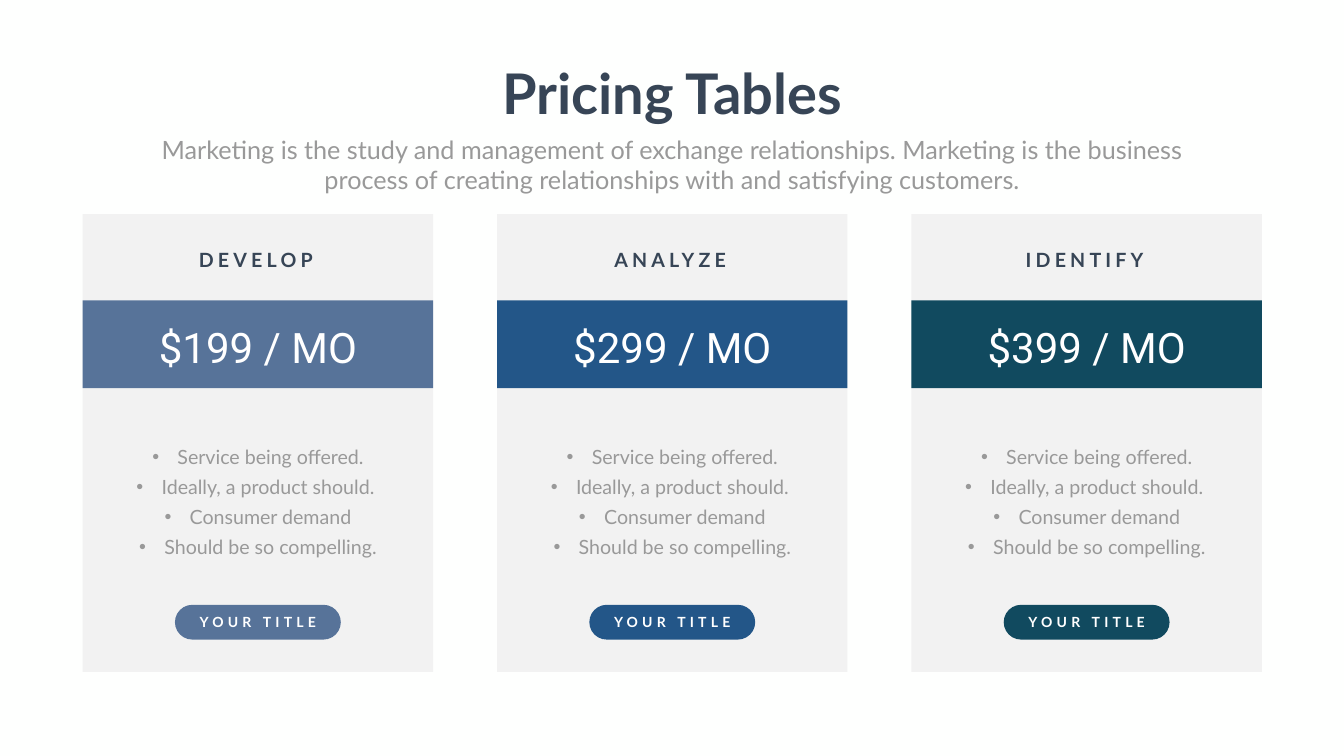
import lxml.etree
import pptx
import pptx.dml.color
import pptx.enum.shapes
import pptx.enum.text
import pptx.oxml.ns
import pptx.util

Inches = pptx.util.Inches
Shapes = pptx.enum.shapes.MSO_SHAPE

TITLE = "Pricing Tables"
SUBTITLE = (
    "Marketing is the study and management of exchange relationships. "
    "Marketing is the business process of creating relationships with and satisfying customers."
)
PLANS = [
    ("DEVELOP", "$199 / MO", "577399"),
    ("ANALYZE", "$299 / MO", "235688"),
    ("IDENTIFY", "$399 / MO", "114A5F"),
]
FEATURES = [
    "Service being offered.",
    "Ideally, a product should. ",
    "Consumer demand",
    "Should be so compelling.",
]
BUTTON = "YOUR TITLE"

THEME = {
    "background": "FEFFFE", "card": "F2F2F2", "dark": "374556", "muted": "999999", "light": "FFFFFF",
    "body_font": "Lato", "price_font": "Roboto",
    "title": 80, "price": 60, "subtitle": 36, "body": 28, "button": 20,
    "tracking": 6, "feature_line": 43,
}

SLIDE_WIDTH, SLIDE_HEIGHT = 26.66, 15
CARD_LEFT, CARD_TOP, CARD_WIDTH, CARD_HEIGHT = 1.64, 4.25, 6.95, 9.08
CARD_PITCH = 8.22
BULLET_INDENT = 0.5


def color(value):
    return pptx.dml.color.RGBColor.from_string(value)


def place(shape, center, top, width, height):
    shape.left, shape.top = Inches(center - width / 2), Inches(top)
    shape.width, shape.height = Inches(width), Inches(height)


def add_block(shapes, kind, center, top, width, height, fill):
    shape = shapes.add_shape(kind, 0, 0, 0, 0)
    place(shape, center, top, width, height)
    shape.shadow.inherit = False
    shape.fill.solid()
    shape.fill.fore_color.rgb = color(fill)
    shape.line.fill.background()
    return shape


def add_bullet(paragraph):
    properties = paragraph._p.get_or_add_pPr()
    properties.set("marL", str(Inches(BULLET_INDENT)))
    properties.set("indent", str(-Inches(BULLET_INDENT)))
    for tag, name, value in (("a:buFont", "typeface", "Arial"), ("a:buChar", "char", "•")):
        lxml.etree.SubElement(properties, pptx.oxml.ns.qn(tag)).set(name, value)


def write_text(shape, lines, *, size, ink, font=THEME["body_font"], bold=False,
               tracking=0, wrap=False, bullets=False, line_spacing=1.0):
    frame = shape.text_frame
    frame.word_wrap = wrap
    frame.auto_size = pptx.enum.text.MSO_AUTO_SIZE.SHAPE_TO_FIT_TEXT
    frame.vertical_anchor = pptx.enum.text.MSO_ANCHOR.TOP
    for index, line in enumerate(lines):
        paragraph = frame.add_paragraph() if index else frame.paragraphs[0]
        if bullets:
            add_bullet(paragraph)
        paragraph.alignment = pptx.enum.text.PP_ALIGN.CENTER
        paragraph.line_spacing = line_spacing
        run = paragraph.add_run()
        run.text = line
        run.font.name = font
        run.font.size = pptx.util.Pt(size)
        run.font.bold = bold
        run.font.color.rgb = color(ink)
        if tracking:
            run._r.get_or_add_rPr().set("spc", str(tracking * 100))


def add_text(shapes, center, top, width, height, lines, **text_format):
    shape = shapes.add_textbox(0, 0, 0, 0)
    place(shape, center, top, width, height)
    write_text(shape, lines, **text_format)


def add_plan(shapes, center, name, price, accent):
    add_block(shapes, Shapes.RECTANGLE, center, CARD_TOP, CARD_WIDTH, CARD_HEIGHT, THEME["card"])
    add_block(shapes, Shapes.RECTANGLE, center, 5.96, CARD_WIDTH, 1.74, accent)
    add_text(shapes, center - 0.04, 4.87, 2.6, 0.57, [name], size=THEME["body"],
             ink=THEME["dark"], bold=True, tracking=THEME["tracking"])
    add_text(shapes, center, 6.33, 4.19, 1.11, [price], size=THEME["price"],
             ink=THEME["light"], font=THEME["price_font"])
    add_text(shapes, center, 8.64, 5.25, 2.45, FEATURES, size=THEME["body"],
             ink=THEME["muted"], wrap=True, bullets=True,
             line_spacing=pptx.util.Pt(THEME["feature_line"]))
    button = shapes.add_group_shape().shapes
    pill = add_block(button, Shapes.ROUNDED_RECTANGLE, center, 12, 3.29, 0.69, accent)
    pill.adjustments[0] = 0.5
    add_text(button, center, 12.12, 2.64, 0.44, [BUTTON], size=THEME["button"],
             ink=THEME["light"], bold=True, tracking=THEME["tracking"])


def main():
    presentation = pptx.Presentation()
    presentation.slide_width = Inches(SLIDE_WIDTH)
    presentation.slide_height = Inches(SLIDE_HEIGHT)
    slide = presentation.slides.add_slide(presentation.slide_layouts[5])
    slide.background.fill.solid()
    slide.background.fill.fore_color.rgb = color(THEME["background"])

    middle = SLIDE_WIDTH / 2
    title = slide.shapes.title
    place(title, middle, 1.12, 7.23, 1.45)
    write_text(title, [TITLE], size=THEME["title"], ink=THEME["dark"], bold=True)
    add_text(slide.shapes, middle, 2.61, 20.82, 1.31, [SUBTITLE],
             size=THEME["subtitle"], ink=THEME["muted"], wrap=True)

    for index, (name, price, accent) in enumerate(PLANS):
        center = CARD_LEFT + CARD_WIDTH / 2 + index * CARD_PITCH
        add_plan(slide.shapes, center, name, price, accent)

    presentation.save("out.pptx")


if __name__ == "__main__":
    main()
